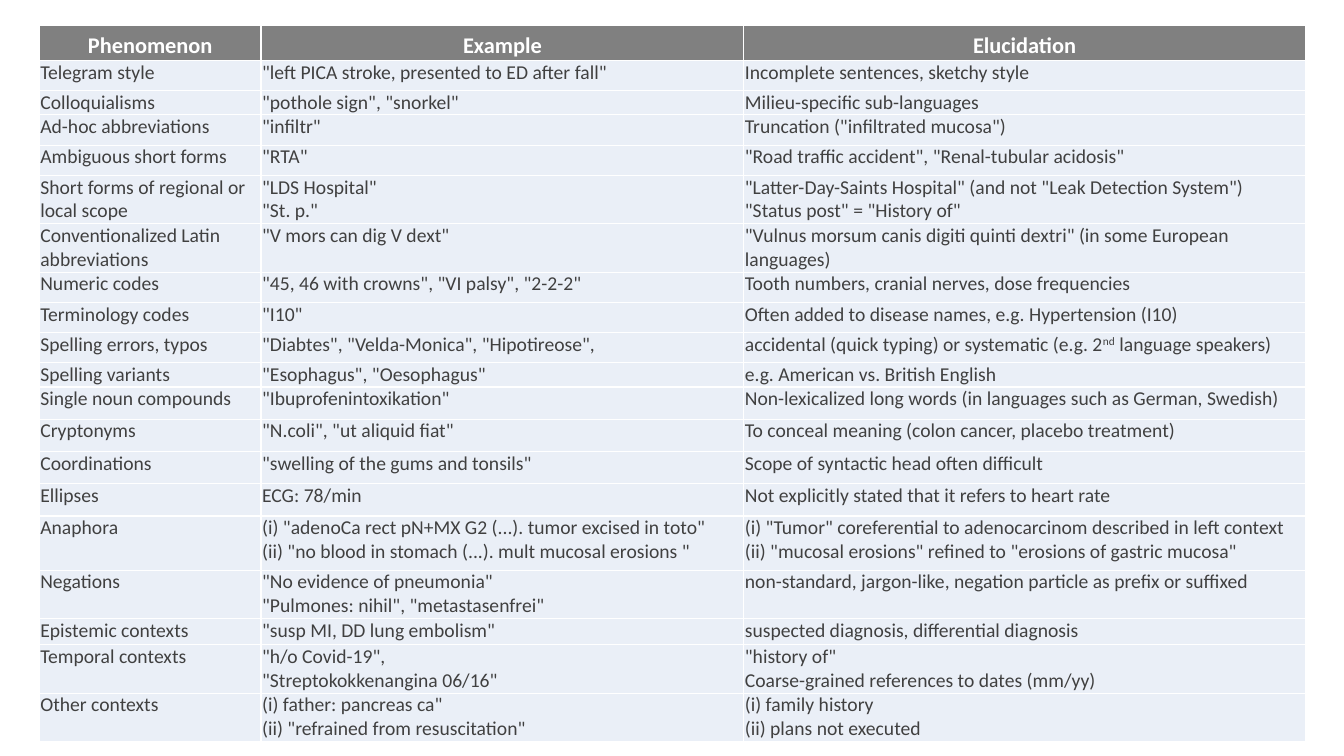
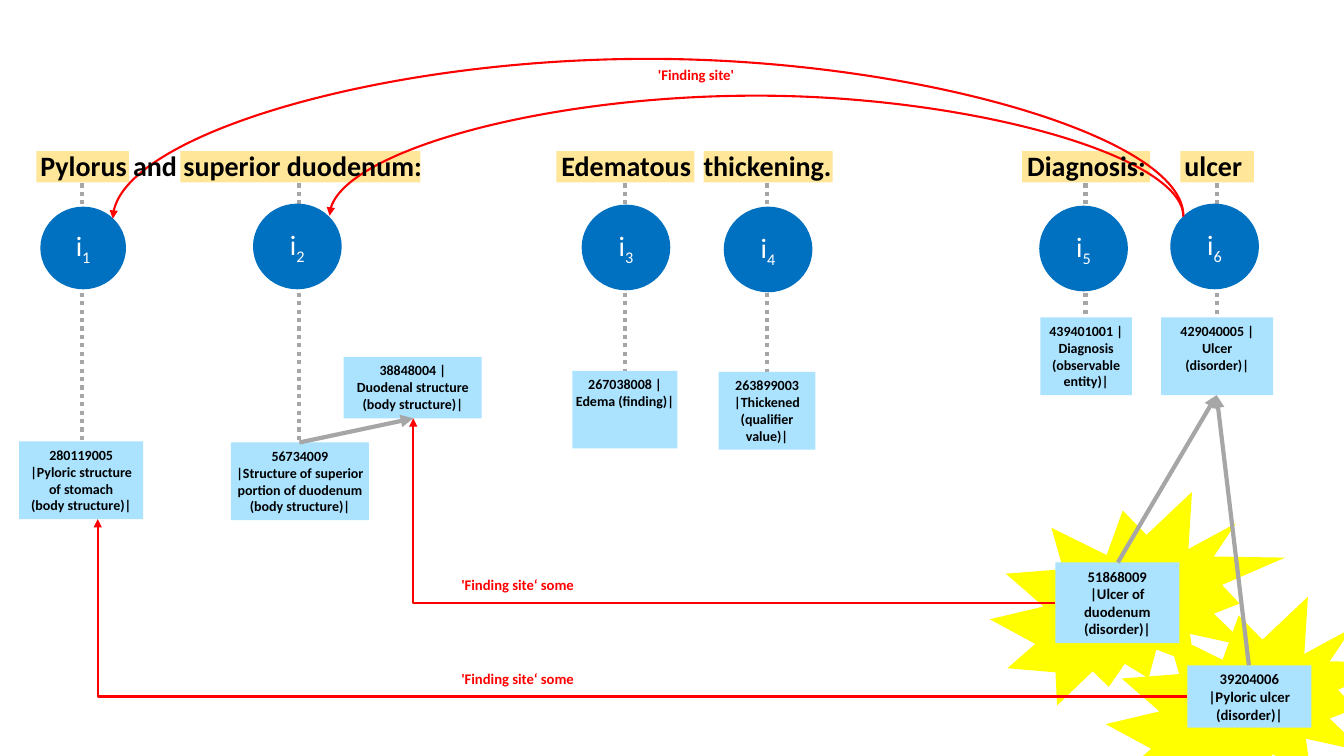
from dataclasses import dataclass
from lxml.etree import SubElement
from pptx import Presentation
from pptx.dml.color import RGBColor
from pptx.enum.dml import MSO_LINE
from pptx.enum.shapes import MSO_CONNECTOR, MSO_SHAPE
from pptx.enum.text import MSO_ANCHOR, PP_ALIGN
from pptx.oxml.ns import qn
from pptx.util import Pt

PX = 9144  # 100 px to the inch


@dataclass(frozen=True)
class Theme:
    font: str = "Calibri"
    white: str = "FFFFFF"
    black: str = "000000"
    body: str = "404040"
    header: str = "808080"
    row: str = "EAEFF7"
    circle: str = "0070C0"
    concept: str = "ABE3FF"
    mark: str = "FFE699"
    burst: str = "FFFF00"
    grey: str = "A6A6A6"
    red: str = "FF0000"
    heading_size: float = 20
    header_size: float = 16
    cell_size: float = 14
    label_size: float = 10.5
    concept_size: float = 10


theme = Theme()


def write(holder, text, size, color, bold=False, align=PP_ALIGN.LEFT, anchor=MSO_ANCHOR.TOP,
          insets=(10, 5), spacing=None, shift=0, tabs=(), in_cell=False):
    """Fill a shape or cell; a newline starts a paragraph, text between ~ signs is shifted."""
    frame = holder.text_frame
    frame.word_wrap = True
    layout = holder if in_cell else frame  # a cell keeps its own margins
    layout.vertical_anchor = anchor
    layout.margin_left = layout.margin_right = insets[0] * PX
    layout.margin_top = layout.margin_bottom = insets[1] * PX
    for number, line in enumerate(text.split("\n")):
        para = frame.add_paragraph() if number else frame.paragraphs[0]
        para.alignment = align
        if spacing:
            para.line_spacing = spacing
        if tabs:
            stops = SubElement(para._p.get_or_add_pPr(), qn("a:tabLst"))
            for stop in tabs:
                SubElement(stops, qn("a:tab"), pos=str(stop * PX), algn="l")
        for index, piece in enumerate(line.split("~")):
            span = para.add_run()
            span.text = piece
            span.font.name, span.font.size, span.font.bold = theme.font, Pt(size), bold
            span.font.color.rgb = RGBColor.from_string(color)
            if index % 2:
                span._r.get_or_add_rPr().set("baseline", str(shift * 1000))


def connect(page, begin, end, color, width, kind=MSO_CONNECTOR.STRAIGHT, dash=None, arrow=True):
    line = page.shapes.add_connector(kind, *(value * PX for value in begin + end))
    line.line.color.rgb = RGBColor.from_string(color)
    line.line.width = Pt(width)
    if dash:
        line.line.dash_style = dash
    if arrow:
        SubElement(line.line._get_or_add_ln(), qn("a:tailEnd"), type="triangle")
    SubElement(line._element.spPr, qn("a:effectLst"))
    return line


deck = Presentation()
deck.slide_width, deck.slide_height = 4000 * PX // 3, 750 * PX
blank = deck.slide_layouts[6]

# Table of language phenomena: row height, then the three cells
rows = [
    (35, "Phenomenon", "Example", "Elucidation"),
    (30, "Telegram style", '"left PICA stroke, presented to ED after fall"',
     "Incomplete sentences, sketchy style"),
    (24, "Colloquialisms", '"pothole sign", "snorkel"', "Milieu-specific sub-languages"),
    (30, "Ad-hoc abbreviations", '"infiltr"', 'Truncation ("infiltrated mucosa")'),
    (30, "Ambiguous short forms", '"RTA"', '"Road traffic accident", "Renal-tubular acidosis"'),
    (48, "Short forms of regional or local scope", '"LDS Hospital"\n"St. p."',
     '"Latter-Day-Saints Hospital" (and not "Leak Detection System")\n'
     '"Status post" = "History of"'),
    (48, "Conventionalized Latin abbreviations", '"V mors can dig V dext"',
     '"Vulnus morsum canis digiti quinti dextri" (in some European languages)'),
    (30, "Numeric codes", '"45, 46 with crowns", "VI palsy", "2-2-2"',
     "Tooth numbers, cranial nerves, dose frequencies"),
    (30, "Terminology codes", '"I10"', "Often added to disease names, e.g. Hypertension (I10)"),
    (30, "Spelling errors, typos", '"Diabtes", "Velda-Monica", "Hipotireose",',
     "accidental (quick typing) or systematic (e.g. 2~nd~ language speakers)"),
    (24, "Spelling variants", '"Esophagus", "Oesophagus"', "e.g. American vs. British English"),
    (32, "Single noun compounds", '"Ibuprofenintoxikation"',
     "Non-lexicalized long words (in languages such as German, Swedish)"),
    (32, "Cryptonyms", '"N.coli", "ut aliquid fiat"',
     "To conceal meaning (colon cancer, placebo treatment)"),
    (32, "Coordinations", '"swelling of the gums and tonsils"',
     "Scope of syntactic head often difficult"),
    (32, "Ellipses", "ECG: 78/min", "Not explicitly stated that it refers to heart rate"),
    (54, "Anaphora",
     '(i) "adenoCa rect pN+MX G2 (...). tumor excised in toto"\n'
     '(ii) "no blood in stomach (...). mult mucosal erosions "',
     '(i) "Tumor" coreferential to adenocarcinom described in left context\n'
     '(ii) "mucosal erosions" refined to "erosions of gastric mucosa"'),
    (48, "Negations", '"No evidence of pneumonia"\n"Pulmones: nihil", "metastasenfrei"',
     "non-standard, jargon-like, negation particle as prefix or suffixed"),
    (26, "Epistemic contexts", '"susp MI, DD lung embolism"',
     "suspected diagnosis, differential diagnosis"),
    (48, "Temporal contexts", '"h/o Covid-19",\n"Streptokokkenangina 06/16"',
     '"history of"\nCoarse-grained references to dates (mm/yy)'),
    (48, "Other contexts", '(i) father: pancreas ca"\n(ii) "refrained from resuscitation"',
     "(i) family history\n(ii) plans not executed"),
]
widths = (220, 479, 557)
header_format = dict(size=theme.header_size, color=theme.white, bold=True,
                     align=PP_ALIGN.CENTER, insets=(1, 1), spacing=1.2)
cell_format = dict(size=theme.cell_size, color=theme.body, insets=(1, 0), shift=30)

page = deck.slides.add_slide(blank)
table = page.shapes.add_table(len(rows), len(widths), 39 * PX, 25 * PX, sum(widths) * PX,
                              sum(row[0] for row in rows) * PX).table
for column, width in zip(table.columns, widths):
    column.width = width * PX
for row_number, (height, *texts) in enumerate(rows):
    table.rows[row_number].height = height * PX
    for column_number, text in enumerate(texts):
        cell = table.cell(row_number, column_number)
        write(cell, text, in_cell=True, **(cell_format if row_number else header_format))
        # Borders come before the fill in the cell properties
        properties = cell._tc.get_or_add_tcPr()
        for side in ("lnL", "lnR", "lnT", "lnB"):
            border = SubElement(properties, qn(f"a:{side}"), w=str(Pt(1)))
            SubElement(SubElement(border, qn("a:solidFill")), qn("a:srgbClr"), val=theme.white)
        cell.fill.solid()
        cell.fill.fore_color.rgb = RGBColor.from_string(theme.row if row_number else theme.header)

# Annotated sentence: dotted lines from each word to its concept
page = deck.slides.add_slide(blank)
for x, bottom in ((81, 438), (297, 439), (620, 368), (761, 369), (1077, 315), (1207, 315)):
    connect(page, (x, 182), (x, bottom), theme.grey, 3, dash=MSO_LINE.ROUND_DOT, arrow=False)

# Bursts, word marks, concepts and instances: preset, place, fill, text, text format
concept = dict(size=theme.concept_size, color=theme.black, bold=True,
               align=PP_ALIGN.CENTER, insets=(2, 5))
large_concept = {**concept, "size": theme.label_size}
instance = dict(size=theme.heading_size, color=theme.white, align=PP_ALIGN.CENTER,
                anchor=MSO_ANCHOR.MIDDLE, insets=(0, 5), shift=-25)
concepts = [
    ((19, 438, 123, 77), "280119005\n|Pyloric structure\nof stomach\n(body structure)|", concept),
    ((229, 439, 137, 77),
     "56734009\n|Structure of superior portion of duodenum\n(body structure)|", concept),
    ((341, 354, 137, 61), "38848004 |\nDuodenal structure\n(body structure)|", concept),
    ((568, 368, 104, 77), "267038008 |Edema (finding)|", concept),
    ((713, 369, 96, 77), "263899003\n|Thickened\n(qualifier\nvalue)|", concept),
    ((1032, 315, 91, 77), "439401001 |Diagnosis (observable entity)|", concept),
    ((1152, 315, 111, 77), "429040005 |\nUlcer\n(disorder)|", concept),
    ((1047, 558, 123, 80), "51868009\n|Ulcer of\nduodenum (disorder)|", large_concept),
    ((1178, 660, 123, 62), "39204006\n|Pyloric ulcer\n(disorder)|", large_concept),
]
circles = [(40, 205, 85, 82), (251, 202, 88, 85), (577, 203, 88, 85),
           (718, 205, 88, 85), (1031, 204, 88, 85), (1161, 202, 88, 85)]
items = [(MSO_SHAPE.EXPLOSION2, (left, top, 293, 212), theme.burst, "", {})
         for left, top in ((982, 488), (1097, 592))]
items += [(MSO_SHAPE.RECTANGLE, (left, 150, width, 31), theme.mark, "", {}) for left, width in
          ((36, 92), (179, 238), (552, 137), (698, 128), (1014, 127), (1171, 73))]
items += [(MSO_SHAPE.RECTANGLE, place, theme.concept, text, style)
          for place, text, style in concepts]
items += [(MSO_SHAPE.OVAL, place, theme.circle, f"i~{number}", instance)
          for number, place in enumerate(circles, 1)]
named = {}
for preset, place, fill, text, style in items:
    shape = page.shapes.add_shape(preset, *(value * PX for value in place))
    shape.shadow.inherit = False
    shape.fill.solid()
    shape.fill.fore_color.rgb = RGBColor.from_string(fill)
    shape.line.fill.background()
    if text:
        write(shape, text, **style)
        named[text.split()[0]] = shape

# Grey arrows from a concept to its parent
for begin, end in (((297, 439), (410, 415)), ((1239, 660), (1207, 392)),
                   ((1109, 558), (1207, 392))):
    connect(page, begin, end, theme.grey, 3)

# Red 'Finding site' arrows: preset, ends, turn, flips, bend, (shape, site) at each end
routes = [
    ("curvedConnector3", (1174, 215), (327, 214), 270, ("flipV",), 122, ("i~6", 1), ("i~2", 7)),
    ("curvedConnector3", (1174, 214), (112, 217), 270, ("flipH", "flipV"), -52,
     ("i~6", 1), ("i~1", 7)),
    ("bentConnector2", (1178, 691), (97, 515), 180, (), None, ("39204006", 1), None),
    ("bentConnector2", (1047, 598), (410, 415), 180, (), None, ("51868009", 1), ("38848004", 2)),
]
for preset, begin, end, turn, flips, bend, start_site, end_site in routes:
    line = connect(page, begin, end, theme.red, 1.5, kind=MSO_CONNECTOR.ELBOW)
    if turn == 270:
        middle_x, middle_y = line.left + line.width // 2, line.top + line.height // 2
        line.width, line.height = line.height, line.width
        line.left, line.top = middle_x - line.width // 2, middle_y - line.height // 2
    transform = line._element.spPr.find(qn("a:xfrm"))
    transform.set("rot", str(turn * 60000))
    for flip in ("flipH", "flipV"):
        transform.set(flip, str(int(flip in flips)))
    geometry = line._element.spPr.find(qn("a:prstGeom"))
    geometry.set("prst", preset)
    if bend:
        SubElement(geometry.find(qn("a:avLst")), qn("a:gd"), name="adj1",
                   fmla=f"val {bend * 100000}")
    for tag, site in (("a:stCxn", start_site), ("a:endCxn", end_site)):
        if site:
            SubElement(line._element.nvCxnSpPr.cNvCxnSpPr, qn(tag),
                       id=str(named[site[0]].shape_id), idx=str(site[1]))

# Arrow labels
for left, top, text in ((611, 60, "'Finding site'"), (434, 660, "'Finding site‘ some"),
                        (434, 566, "'Finding site‘ some")):
    box = page.shapes.add_textbox(left * PX, top * PX, 159 * PX, 28 * PX)
    write(box, text, theme.label_size, theme.red, bold=True, align=PP_ALIGN.CENTER)

# Sentence, with a tab stop for each later part
box = page.shapes.add_textbox(40 * PX, 147 * PX, 1290 * PX, 34 * PX)
write(box, "Pylorus and superior duodenum:\tEdematous\tthickening.\tDiagnosis:\tulcer",
      theme.heading_size, theme.black, bold=True, insets=(0, 0), tabs=(517, 658, 979, 1135))

deck.save("out.pptx")
